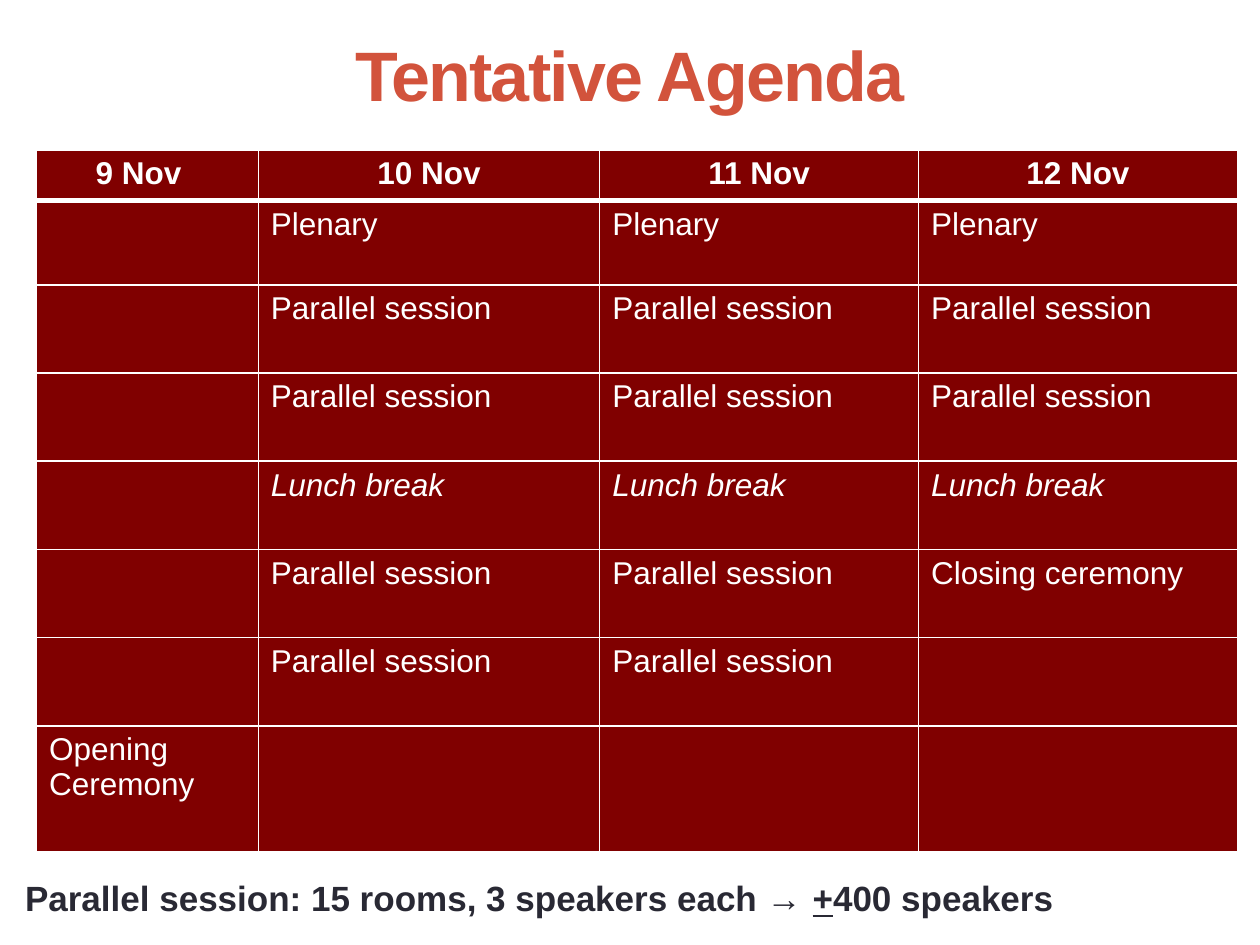
from lxml import etree
from pptx import Presentation
from pptx import util as u
from pptx.dml.color import RGBColor
from pptx.enum import text
from pptx.oxml.ns import qn

COLOURS = {"title": "D2533C", "cell": "800000", "white": "FFFFFF", "note": "292934"}
FONT = "Arial"


def style(span, size, colour, bold=False):
    span.font.name = FONT
    span.font.size = u.Pt(size)
    span.font.bold = bold
    span.font.color.rgb = RGBColor.from_string(COLOURS[colour])


def add_borders(cell, widths):
    """Draw white cell borders; widths maps a side (L, R, T, B) to points."""
    properties = cell._tc.get_or_add_tcPr()
    for index, (side, width) in enumerate(widths.items()):
        line = etree.Element(qn(f"a:ln{side}"), w=str(u.Pt(width)))
        fill = etree.SubElement(line, qn("a:solidFill"))
        etree.SubElement(fill, qn("a:srgbClr"), val=COLOURS["white"])
        properties.insert(index, line)


deck = Presentation()
deck.slide_width = u.Inches(10)
deck.slide_height = u.Inches(7.5)
page = deck.slides.add_slide(deck.slide_layouts[6])

# Title
title = page.shapes.add_textbox(u.Inches(0.5), u.Inches(0.17), u.Inches(9), u.Inches(0.82))
title.text_frame.word_wrap = True
title.text_frame.vertical_anchor = text.MSO_ANCHOR.MIDDLE
title.text_frame.text = "Tentative Agenda"
para = title.text_frame.paragraphs[0]
para.alignment = text.PP_ALIGN.CENTER
style(para.runs[0], 40, "title", bold=True)
para.runs[0].font._element.set("spc", "-100")

# Agenda table
PARALLEL = "Parallel session"
LUNCH = "Lunch break"
agenda = [
    ["9 Nov", "10 Nov", "11 Nov", "12 Nov"],
    ["", "Plenary", "Plenary", "Plenary"],
    ["", PARALLEL, PARALLEL, PARALLEL],
    ["", PARALLEL, PARALLEL, PARALLEL],
    ["", LUNCH, LUNCH, LUNCH],
    ["", PARALLEL, PARALLEL, "Closing ceremony"],
    ["", PARALLEL, PARALLEL, ""],
    ["Opening Ceremony", "", "", ""],
]
column_widths = [1.76, 2.71, 2.53, 2.53]
row_heights = [0.4, 0.67] + [0.7] * 5 + [1]

frame = page.shapes.add_table(
    len(row_heights), len(column_widths),
    u.Inches(0.29), u.Inches(1.19), u.Inches(9.54), u.Inches(5.57))
table = frame.table
for column, width in zip(table.columns, column_widths):
    column.width = u.Inches(width)
for row, height in zip(table.rows, row_heights):
    row.height = u.Inches(height)

for row_index, entries in enumerate(agenda):
    header = row_index == 0
    for column_index, entry in enumerate(entries):
        cell = table.cell(row_index, column_index)
        cell.fill.solid()
        cell.fill.fore_color.rgb = RGBColor.from_string(COLOURS["cell"])
        add_borders(cell, {"L": 1, "R": 1,
                           "T": 3 if row_index == 1 else 1,
                           "B": 3 if header else 1})
        cell.text_frame.text = entry
        para = cell.text_frame.paragraphs[0]
        if header:
            para.alignment = text.PP_ALIGN.CENTER
        for span in para.runs:
            style(span, 18, "white", bold=header)
            span.font.italic = entry == LUNCH
# The first date sits slightly left of its column's centre
table.cell(0, 0).margin_right = u.Inches(0.24)

# Note below the table
note = page.shapes.add_textbox(u.Inches(0.1), u.Inches(6.91), u.Inches(8.42), u.Inches(0.44))
note.text_frame.word_wrap = False
note.text_frame.auto_size = text.MSO_AUTO_SIZE.SHAPE_TO_FIT_TEXT
para = note.text_frame.paragraphs[0]
for words, underlined in [("Parallel session: 15 rooms, 3 speakers each → ", False),
                          ("+", True), ("400 speakers", False)]:
    span = para.add_run()
    span.text = words
    style(span, 20, "note", bold=True)
    span.font.underline = underlined

deck.save("out.pptx")
